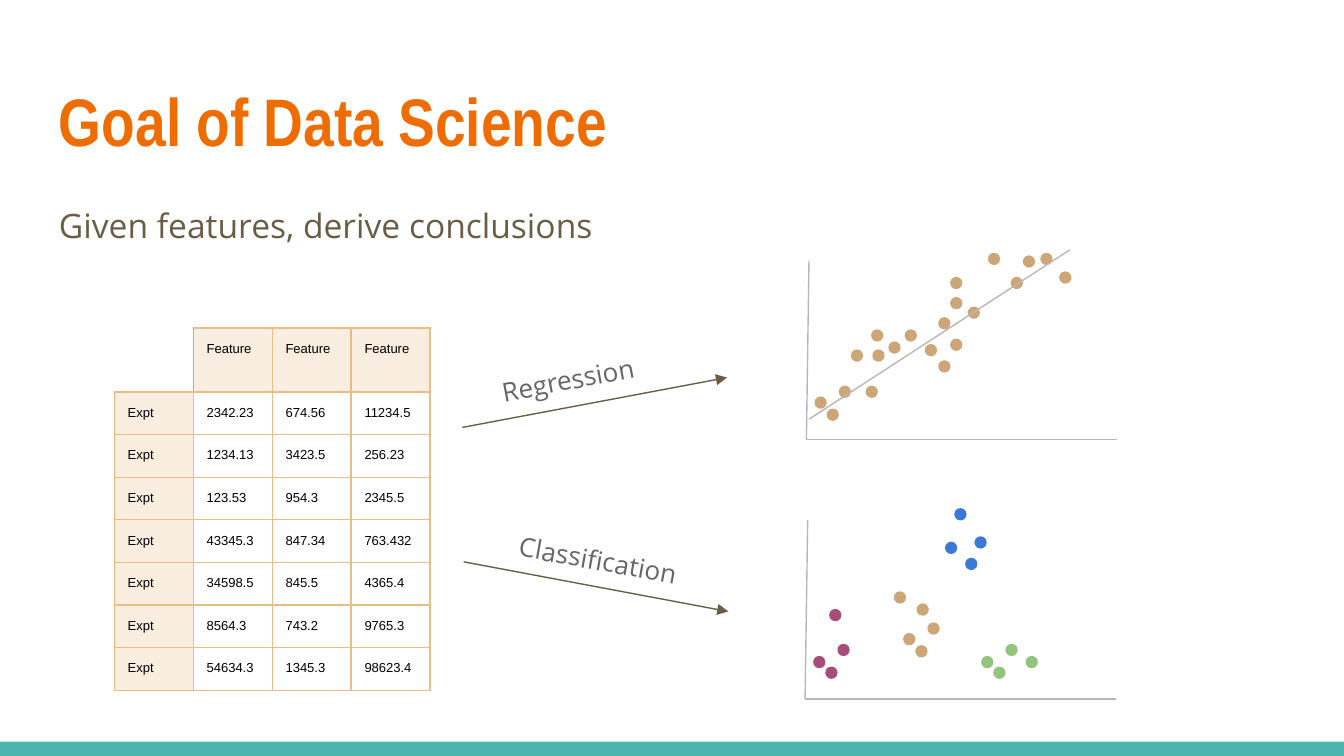
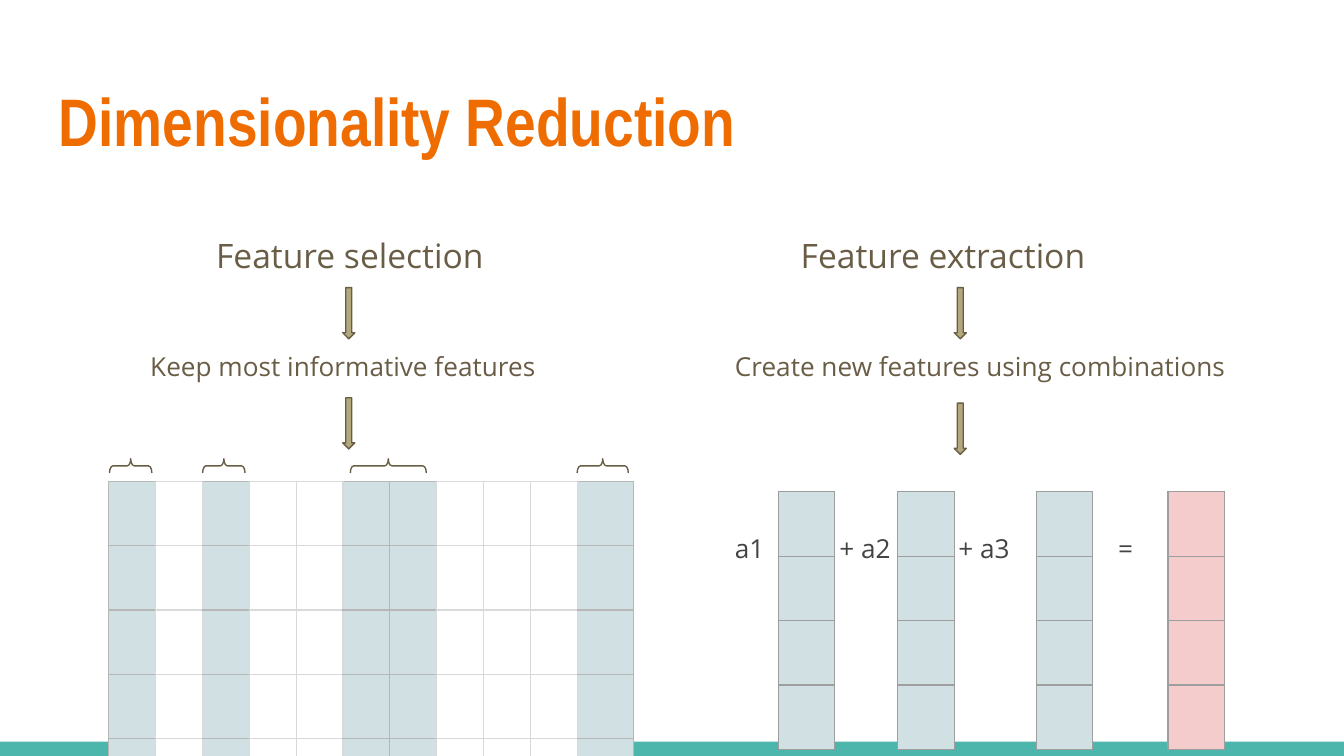
from dataclasses import dataclass

from pptx import Presentation
from pptx.dml.color import RGBColor
from pptx.enum.shapes import MSO_CONNECTOR, MSO_SHAPE
from pptx.enum.text import MSO_ANCHOR, PP_ALIGN
from pptx.oxml.ns import qn
from pptx.util import Pt
from lxml.etree import SubElement

WIDE, HIGH = 720, 405
TEAL, ORANGE, BROWN = "4DB6AC", "EF6C00", "695D46"
TAN, SAND, OLIVE = "CCA677", "E9BD87", "B3A77D"
PLUM, BLUE, GREEN = "A64D79", "3C78D8", "93C47D"
SILVER, PALE, STEEL = "B7B7B7", "D9D9D9", "9E9E9E"
ICE, ROSE, WHITE, BLACK = "D0E0E3", "F4CCCC", "FFFFFF", "000000"
GREY, DARK = "666666", "434343"
SANS = "Open Sans"
PAD = 7.2
DOT = 6.6
THIN = 0.75
TALL = 34.5


@dataclass(frozen=True)
class Label:
    text: str
    x: float
    y: float
    w: float
    h: float
    size: float = 18
    color: str = BROWN
    font: str = SANS
    bold: bool = False
    space: float = 1.0
    turn: float = 0
    align: PP_ALIGN = PP_ALIGN.LEFT
    tabs: tuple = ()


@dataclass(frozen=True)
class Line:
    x1: float
    y1: float
    x2: float
    y2: float
    color: str = SILVER
    arrow: bool = False


@dataclass(frozen=True)
class Form:
    kind: MSO_SHAPE
    x: float
    y: float
    w: float
    h: float
    fill: str = ""
    line: str = ""
    turn: float = 0
    adjust: tuple = ()


@dataclass(frozen=True)
class Cell:
    text: str = ""
    fill: str = ""
    alpha: int = 100
    sides: tuple = (SAND,) * 4


TREND = [
    (509, 148.3), (509, 181.4), (518.4, 164.2), (502.6, 169.9), (466.6, 176.4),
    (467.3, 187.2), (463.7, 206.6), (455.8, 187.2), (484.6, 176.4), (557.3, 135.4),
    (509, 159.1), (567.4, 145.4), (529.2, 135.4), (449.3, 206.6), (442.8, 218.9),
    (436.3, 212.4), (541.4, 148.3), (502.6, 193), (547.9, 136.8), (475.9, 182.9),
    (495.4, 184.3),
]
GROUPS = {
    PLUM: [(444.2, 326.2), (448.6, 344.9), (442.1, 357.1), (435.6, 351.4)],
    BLUE: [(511.2, 272.2), (522, 287.3), (517, 298.8), (506.2, 290.2)],
    GREEN: [(549.4, 351.4), (538.6, 344.9), (532.1, 357.1), (525.6, 351.4)],
    TAN: [(491, 323.3), (496.8, 333.4), (490.3, 345.6), (483.8, 339.1), (478.8, 316.8)],
}
DATA = [
    ("2342.23", "674.56", "11234.5"),
    ("1234.13", "3423.5", "256.23"),
    ("123.53", "954.3", "2345.5"),
    ("43345.3", "847.34", "763.432"),
    ("34598.5", "845.5", "4365.4"),
    ("8564.3", "743.2", "9765.3"),
    ("54634.3", "1345.3", "98623.4"),
]
KEPT = (0, 2, 5, 6, 10)


def rgb(code: str) -> RGBColor:
    return RGBColor.from_string(code)


def style(para, font: str, size: float, color: str, bold: bool = False) -> None:
    for run in para.runs:
        run.font.name = font
        run.font.size = Pt(size)
        run.font.bold = bold
        run.font.color.rgb = rgb(color)


def write(slide, item: Label) -> None:
    box = slide.shapes.add_textbox(Pt(item.x), Pt(item.y), Pt(item.w), Pt(item.h))
    box.rotation = item.turn
    frame = box.text_frame
    frame.word_wrap = True
    frame.vertical_anchor = MSO_ANCHOR.TOP
    frame.margin_left = frame.margin_right = Pt(PAD)
    frame.margin_top = frame.margin_bottom = Pt(PAD)
    frame.text = item.text
    para = frame.paragraphs[0]
    para.alignment = item.align
    para.line_spacing = item.space
    if item.tabs:
        stops = SubElement(para._p.get_or_add_pPr(), qn("a:tabLst"))
        for stop in item.tabs:
            SubElement(stops, qn("a:tab"), pos=str(Pt(stop)), algn="l")
    style(para, item.font, item.size, item.color, item.bold)


def draw(slide, item: Form) -> None:
    shape = slide.shapes.add_shape(item.kind, Pt(item.x), Pt(item.y), Pt(item.w), Pt(item.h))
    shape.shadow.inherit = False
    shape.rotation = item.turn
    for i, value in enumerate(item.adjust):
        shape.adjustments[i] = value
    if item.fill:
        shape.fill.solid()
        shape.fill.fore_color.rgb = rgb(item.fill)
    else:
        shape.fill.background()
    if item.line:
        shape.line.color.rgb = rgb(item.line)
        shape.line.width = Pt(THIN)
    else:
        shape.line.fill.background()


def link(slide, item: Line) -> None:
    wire = slide.shapes.add_connector(
        MSO_CONNECTOR.STRAIGHT, Pt(item.x1), Pt(item.y1), Pt(item.x2), Pt(item.y2))
    wire.line.color.rgb = rgb(item.color)
    wire.line.width = Pt(THIN)
    if item.arrow:
        SubElement(wire.line._get_or_add_ln(), qn("a:tailEnd"), type="triangle")
    SubElement(wire._element.spPr, qn("a:effectLst"))


def paint(slot, item: Cell) -> None:
    props = slot._tc.get_or_add_tcPr()
    for side, color in zip("LRTB", item.sides):
        edge = SubElement(props, qn(f"a:ln{side}"), w=str(Pt(THIN)))
        if color:
            solid = SubElement(edge, qn("a:solidFill"))
            SubElement(solid, qn("a:srgbClr"), val=color)
        else:
            SubElement(edge, qn("a:noFill"))
    if item.fill:
        slot.fill.solid()
        slot.fill.fore_color.rgb = rgb(item.fill)
        if item.alpha < 100:
            tone = props.find(qn("a:solidFill"))[0]
            SubElement(tone, qn("a:alpha"), val=str(item.alpha * 1000))
    else:
        slot.fill.background()
    slot.margin_left = slot.margin_right = Pt(PAD)
    slot.margin_top = slot.margin_bottom = Pt(PAD if item.text else 0)
    if item.text:
        slot.text_frame.text = item.text
        style(slot.text_frame.paragraphs[0], "Arial", 7, BLACK)


def grid(slide, x: float, y: float, cols: list[float], rows: list[float],
         cells: list[list[Cell]]) -> None:
    table = slide.shapes.add_table(
        len(rows), len(cols), Pt(x), Pt(y), Pt(sum(cols)), Pt(sum(rows))).table
    table.first_row = table.horz_banding = False
    for col, wide in zip(table.columns, cols):
        col.width = Pt(wide)
    for row, high in zip(table.rows, rows):
        row.height = Pt(high)
    for r, line in enumerate(cells):
        for c, item in enumerate(line):
            paint(table.cell(r, c), item)


def start(deck, title: str):
    slide = deck.slides.add_slide(deck.slide_layouts[6])
    draw(slide, Form(MSO_SHAPE.RECTANGLE, 0, 397.4, WIDE, HIGH - 397.4, TEAL))
    write(slide, Label(title, 24.5, 35.3, 671, 55.4, 36, ORANGE, "Arial Narrow", True))
    return slide


def axes(slide, x: float, y: float) -> None:
    link(slide, Line(x, y, x + 1.4, y - 95.7))
    link(slide, Line(x, y, x + 166.3, y))


def dots(slide, spots: list[tuple[float, float]], color: str) -> None:
    for x, y in spots:
        draw(slide, Form(MSO_SHAPE.OVAL, x, y, DOT, DOT, color))


def goal(deck) -> None:
    slide = start(deck, "Goal of Data Science")
    write(slide, Label("Given features, derive conclusions", 24.5, 99.4, 323.3, 75.6, space=1.15))
    link(slide, Line(247.7, 229, 389.5, 202.3, BROWN, True))
    axes(slide, 432, 235.4)
    dots(slide, TREND, TAN)
    link(slide, Line(433.4, 224.6, 573.1, 133.9))
    axes(slide, 431.3, 374.4)
    for color, spots in GROUPS.items():
        dots(slide, spots, color)

    heads = [Cell("Feature", SAND, 26, (TAN if c == 0 else SAND, SAND, SAND, SAND))
             for c in range(3)]
    cells = [[Cell(sides=("", TAN, "", SAND)), *heads]]
    cells += [[Cell("Expt", SAND, 26), *map(Cell, row)] for row in DATA]
    grid(slide, 61.2, 175.7, [42.3] * 4, [34.3] + [22.2] * len(DATA), cells)

    link(slide, Line(248.4, 301, 390.2, 327.6, BROWN, True))
    for text, x, y, w, turn in (("Regression", 258.5, 187.9, 89.3, 349.4),
                                ("Classification", 265.7, 284.4, 111.6, 10.2)):
        write(slide, Label(text, x, y, w, 18.7, 14, GREY, turn=turn, align=PP_ALIGN.CENTER))


def strip(col: int) -> Cell:
    if col not in KEPT:
        return Cell(fill=WHITE, sides=(PALE,) * 4)
    left = SILVER if col == 0 or col - 1 in KEPT else PALE
    right = SILVER if col == 10 or col + 1 in KEPT else PALE
    return Cell(fill=ICE, sides=(left, right, SILVER, SILVER))


def reduce(deck) -> None:
    slide = start(deck, "Dimensionality Reduction")
    for text, x, y, w, h, size in (
            ("Feature selection", 108.7, 115.2, 172.1, 31, 18),
            ("Feature extraction", 421.9, 115.2, 199.4, 28.8, 18),
            ("Keep most informative features", 73.4, 177.8, 265.7, 47.5, 14),
            ("Create new features using combinations", 386.6, 177.8, 317.5, 61.9, 14)):
        write(slide, Label(text, x, y, w, h, size, space=1.15))

    grid(slide, 58.3, 257.8, [25.1] * 10 + [30.2], [TALL] * 6,
         [[strip(c) for c in range(11)]] * 6)
    for x, fill in ((416.9, ICE), (555.1, ICE), (481, ICE), (625.7, ROSE)):
        grid(slide, x, 263.5, [30.2], [TALL] * 4,
             [[Cell(fill=fill, sides=(STEEL,) * 4)]] * 4)
    write(slide, Label("a1\t+ a2\t+ a3\t=", 386.6, 277.9, 247, 40.3, 14, DARK,
                       tabs=(56, 119.8, 205.3)))

    for x, y in ((183.6, 154.1), (511.2, 154.1), (183.6, 213.1), (511.2, 216)):
        draw(slide, Form(MSO_SHAPE.DOWN_ARROW, x, y, 6.5, 27.4, OLIVE, BROWN,
                         adjust=(0.5, 0.5)))
    for mid, span in ((119.9, 22.7), (70, 22.7), (208, 40.7), (322.9, 27.4)):
        draw(slide, Form(MSO_SHAPE.LEFT_BRACE, mid - 3.8, 249.6 - span / 2, 7.6, span,
                         line=BROWN, turn=90, adjust=(0.244, 0.5)))


def main() -> None:
    deck = Presentation()
    deck.slide_width, deck.slide_height = Pt(WIDE), Pt(HIGH)
    goal(deck)
    reduce(deck)
    deck.save("out.pptx")


if __name__ == "__main__":
    main()
